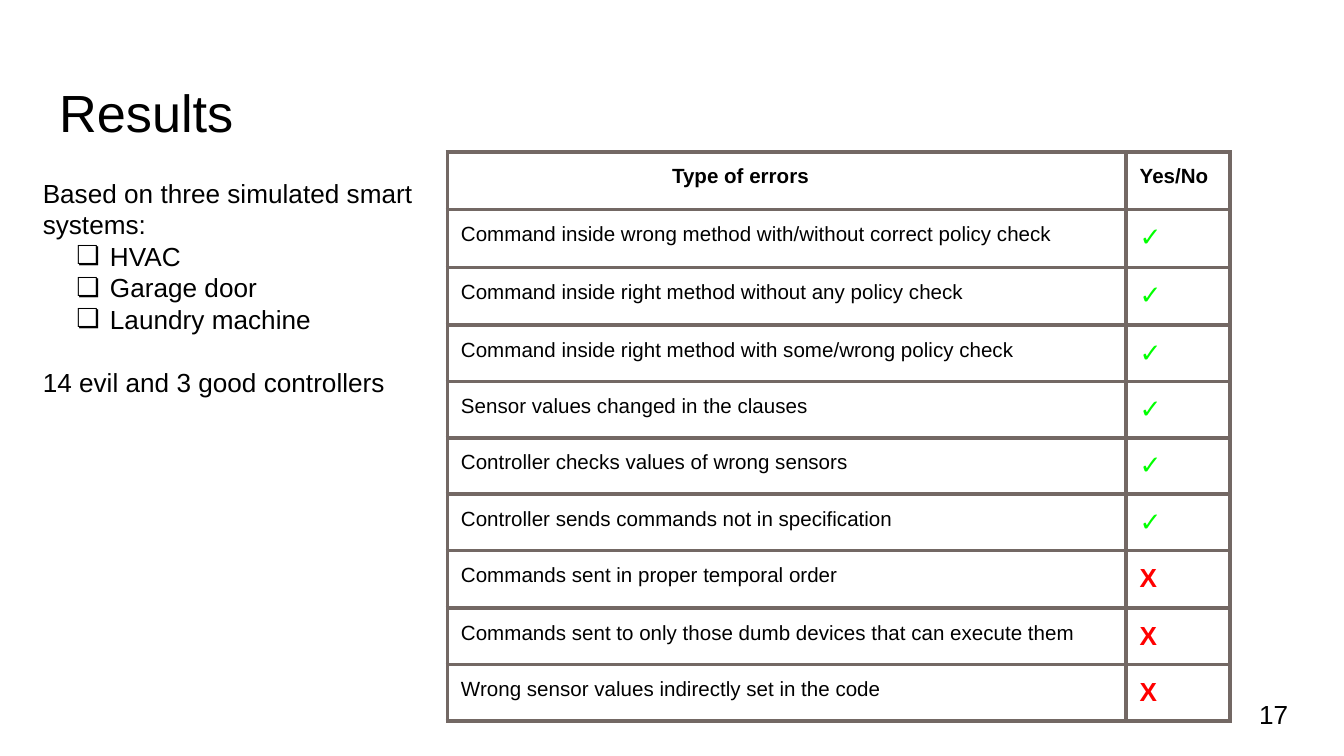
from lxml.etree import SubElement
from pptx import Presentation
from pptx.dml.color import RGBColor
from pptx.enum.text import MSO_ANCHOR, MSO_AUTO_SIZE, PP_ALIGN
from pptx.oxml.ns import qn
from pptx.util import Inches, Pt

COLORS = {"text": "000000", "border": "736864", "yes": "00FF00", "no": "FF0000"}
FONT = "Arial"
TITLE = "Results"
PAGE_NUMBER = "17"
INTRODUCTION = "Based on three simulated smart systems:"
SYSTEMS = ["HVAC", "Garage door", "Laundry machine"]
CONTROLLERS = "14 evil and 3 good controllers"
HEADERS = ["Type of errors", "Yes/No"]
ERRORS = [
    ("Command inside wrong method with/without correct policy check", True),
    ("Command inside right method without any policy check", True),
    ("Command inside right method with some/wrong policy check", True),
    ("Sensor values changed in the clauses", True),
    ("Controller checks values of wrong sensors", True),
    ("Controller sends commands not in specification", True),
    ("Commands sent in proper temporal order", False),
    ("Commands sent to only those dumb devices that can execute them", False),
    ("Wrong sensor values indirectly set in the code", False),
]
COLUMN_WIDTHS = [5.05, 0.77]
TALL_ROWS = {0, 1, 2, 7}
TALL_HEIGHT, ROW_HEIGHT = 0.43, 0.38


def write(paragraph, text, size=14, color="text", bold=False, bullet=None,
          margin=0, indent=0, space_before=0):
    """Write formatted text into a paragraph."""
    paragraph.alignment = PP_ALIGN.LEFT
    paragraph.line_spacing = 1.0
    paragraph.space_before = Pt(space_before)
    run = paragraph.add_run()
    run.text = text
    run.font.name = FONT
    run.font.size = Pt(size)
    run.font.bold = bold
    run.font.color.rgb = RGBColor.from_string(COLORS[color])
    properties = paragraph._p.get_or_add_pPr()
    properties.set("marL", str(Inches(margin)))
    properties.set("indent", str(Inches(indent)))
    if bullet:
        SubElement(properties, qn("a:buSzPts"), val=str(size * 100))
        SubElement(properties, qn("a:buFont"), typeface=FONT)
        SubElement(properties, qn("a:buChar"), char=bullet)


def set_frame(frame, anchor=MSO_ANCHOR.TOP):
    """Set the wrapping, insets and anchor of a text frame."""
    frame.word_wrap = True
    frame.auto_size = MSO_AUTO_SIZE.NONE
    frame.vertical_anchor = anchor
    frame.margin_left = frame.margin_right = Inches(0.1)
    frame.margin_top = frame.margin_bottom = Inches(0.1)


def add_text_box(slide, left, top, width, height, anchor=MSO_ANCHOR.TOP):
    """Add a text box and return its text frame."""
    shape = slide.shapes.add_textbox(*map(Inches, (left, top, width, height)))
    set_frame(shape.text_frame, anchor)
    return shape.text_frame


def format_cell(cell):
    """Give a cell its insets, borders and empty fill."""
    cell.margin_left = cell.margin_right = Inches(0.1)
    cell.margin_top = cell.margin_bottom = Inches(0.1)
    properties = cell._tc.get_or_add_tcPr()
    for side in ("lnL", "lnR", "lnT", "lnB"):
        line = SubElement(properties, qn(f"a:{side}"), w=str(Pt(2.25)))
        fill = SubElement(line, qn("a:solidFill"))
        SubElement(fill, qn("a:srgbClr"), val=COLORS["border"])
    cell.fill.background()


def add_error_table(slide):
    """Add the table of error types and results."""
    heights = [TALL_HEIGHT if row in TALL_ROWS else ROW_HEIGHT
               for row in range(len(ERRORS) + 1)]
    table = slide.shapes.add_table(
        len(heights), len(COLUMN_WIDTHS), Inches(3.33), Inches(1.13),
        Inches(sum(COLUMN_WIDTHS)), Inches(sum(heights))).table
    table.first_row = table.horz_banding = False
    for column, width in zip(table.columns, COLUMN_WIDTHS):
        column.width = Inches(width)
    for row, height in zip(table.rows, heights):
        row.height = Inches(height)
    for cell in table.iter_cells():
        format_cell(cell)
    for column, (header, margin) in enumerate(zip(HEADERS, (1.57, 0))):
        write(table.cell(0, column).text_frame.paragraphs[0], header,
              size=11, bold=True, margin=margin)
    for row, (error, detected) in enumerate(ERRORS, start=1):
        write(table.cell(row, 0).text_frame.paragraphs[0], error, size=11)
        write(table.cell(row, 1).text_frame.paragraphs[0],
              "✓" if detected else "X",
              color="yes" if detected else "no", bold=not detected)


def main():
    """Build the results slide."""
    presentation = Presentation()
    presentation.slide_width = Inches(10)
    presentation.slide_height = presentation.slide_width * 9 // 16
    slide = presentation.slides.add_slide(presentation.slide_layouts[5])

    title = slide.shapes.title
    title.left, title.top = Inches(0.34), Inches(0.5)
    title.width, title.height = Inches(9.32), Inches(0.63)
    set_frame(title.text_frame)
    write(title.text_frame.paragraphs[0], TITLE, size=28)

    number = add_text_box(slide, 9.27, 5.1, 0.6, 0.43, MSO_ANCHOR.MIDDLE)
    write(number.paragraphs[0], PAGE_NUMBER)

    add_error_table(slide)

    summary = add_text_box(slide, 0.22, 1.22, 3.17, 1.77)
    write(summary.paragraphs[0], INTRODUCTION)
    for system in SYSTEMS:
        write(summary.add_paragraph(), system, bullet="❏", margin=0.5, indent=-0.25)
    write(summary.add_paragraph(), CONTROLLERS, space_before=17)

    presentation.save("out.pptx")


if __name__ == "__main__":
    main()
